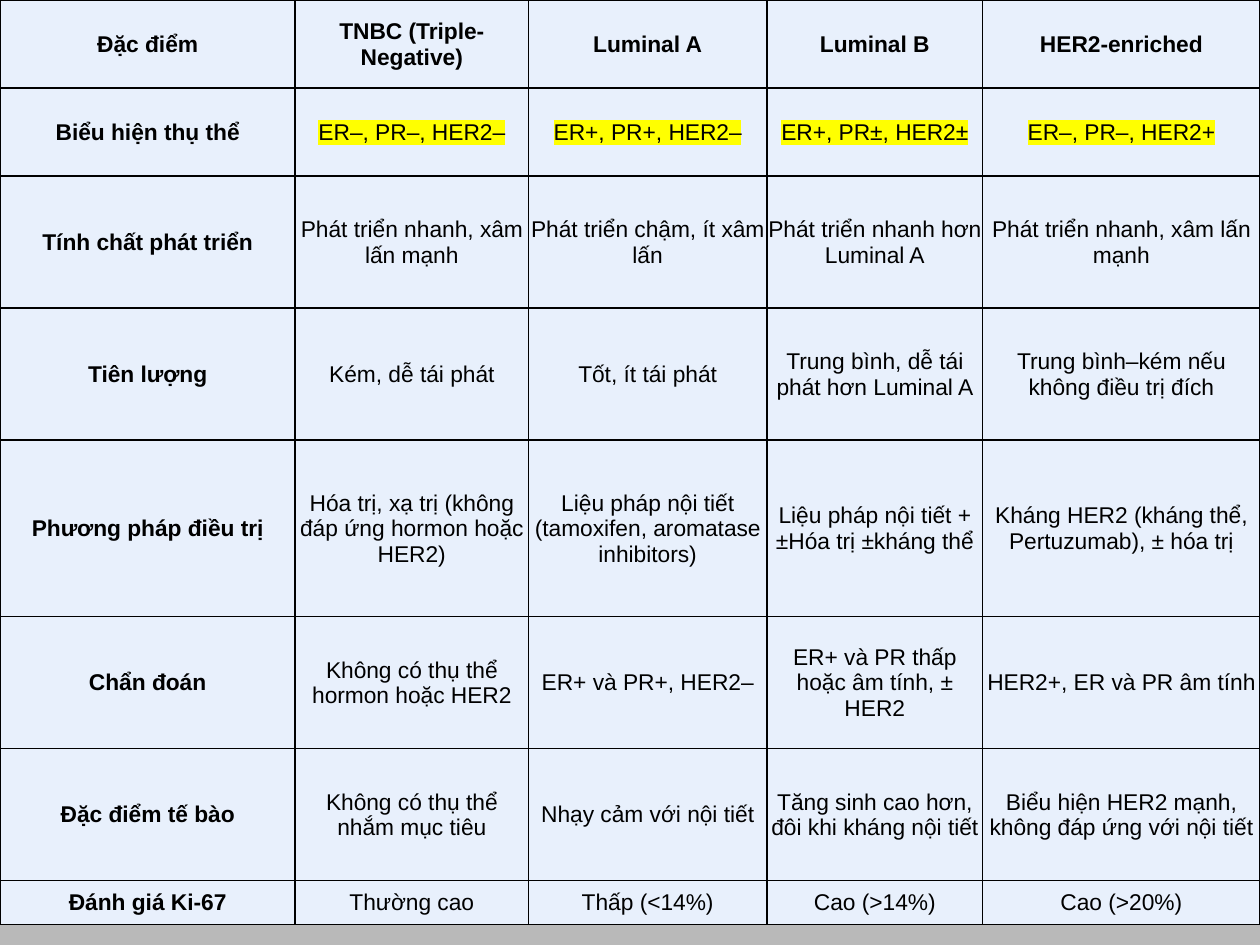
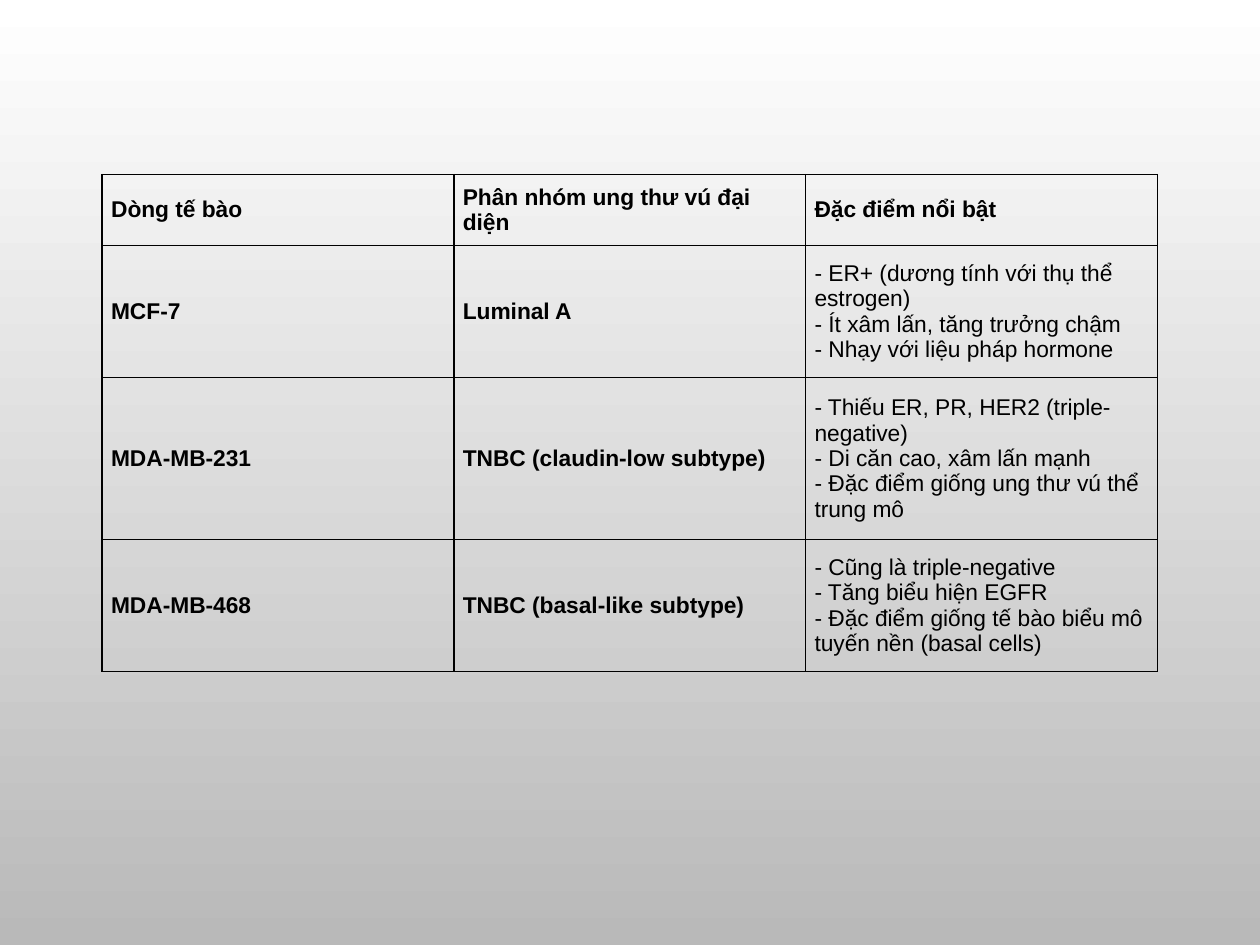
import pptx
import pptx.util
import pptx.dml.color
import pptx.enum.text
import pptx.oxml
import pptx.oxml.ns
import lxml.etree

Cm, Pt = pptx.util.Cm, pptx.util.Pt
RGB = pptx.dml.color.RGBColor.from_string
ALIGN = pptx.enum.text.PP_ALIGN
HEX = {"ink": "000000", "cell": "E8F0FC", "mark": "FFFF00",
       "top": "FFFFFF", "base": "B9B9B9"}


def draw_edge(cell):
    """Give a cell thin lines on all four sides."""
    props = cell._tc.get_or_add_tcPr()
    for i, side in enumerate(("lnL", "lnR", "lnT", "lnB")):
        line = pptx.oxml.parse_xml(
            f'<a:{side} {pptx.oxml.ns.nsdecls("a")} w="12700">'
            f'<a:solidFill><a:srgbClr val="{HEX["ink"]}"/></a:solidFill></a:{side}>')
        props.insert(i, line)


def make_grid(slide, rows, left, top, wide, high, inset, fill, align, bolds, marks=()):
    """Add a table; bolds is the count of leading bold columns, marks the lit rows."""
    grid = slide.shapes.add_table(len(rows), len(wide), left, top,
                                  sum(wide), sum(high)).table
    for col, width in zip(grid.columns, wide):
        col.width = width
    for row, height in zip(grid.rows, high):
        row.height = height
    for r, texts in enumerate(rows):
        for c, text in enumerate(texts):
            cell = grid.cell(r, c)
            cell.margin_left, cell.margin_top, cell.margin_right, cell.margin_bottom = inset
            cell.vertical_anchor = pptx.enum.text.MSO_ANCHOR.MIDDLE
            if fill:
                cell.fill.solid()
                cell.fill.fore_color.rgb = RGB(fill)
            else:
                cell.fill.background()
            draw_edge(cell)
            para = cell.text_frame.paragraphs[0]
            para.alignment = align
            for i, part in enumerate(text.split("\n")):
                if i:
                    para.add_line_break()
                run = para.add_run()
                run.text = part
                font = run.font
                font.name, font.size = "Arial", Pt(13)
                font.bold = r == 0 or c < bolds
                font.color.rgb = RGB(HEX["ink"])
                if r in marks and c >= bolds:
                    light = pptx.oxml.parse_xml(
                        f'<a:highlight {pptx.oxml.ns.nsdecls("a")}>'
                        f'<a:srgbClr val="{HEX["mark"]}"/></a:highlight>')
                    run._r.rPr.find(pptx.oxml.ns.qn("a:solidFill")).addnext(light)


deck = pptx.Presentation()
deck.slide_width, deck.slide_height = Cm(25.4), Cm(19.05)
blank = deck.slide_layouts[6]

# Shared background, white at the top to grey at the base
back = deck.slide_master.background.fill
back.gradient()
back.gradient_angle = 270
for stop, key in zip(back.gradient_stops, ("top", "base")):
    stop.color.rgb = RGB(HEX[key])

# Slide 1: tumour subtypes
types = [
    ("Đặc điểm", "TNBC (Triple-Negative)", "Luminal A", "Luminal B", "HER2-enriched"),
    ("Biểu hiện thụ thể", "ER–, PR–, HER2–", "ER+, PR+, HER2–",
     "ER+, PR±, HER2±", "ER–, PR–, HER2+"),
    ("Tính chất phát triển", "Phát triển nhanh, xâm lấn mạnh",
     "Phát triển chậm, ít xâm lấn", "Phát triển nhanh hơn Luminal A",
     "Phát triển nhanh, xâm lấn mạnh"),
    ("Tiên lượng", "Kém, dễ tái phát", "Tốt, ít tái phát",
     "Trung bình, dễ tái phát hơn Luminal A",
     "Trung bình–kém nếu không điều trị đích"),
    ("Phương pháp điều trị", "Hóa trị, xạ trị (không đáp ứng hormon hoặc HER2)",
     "Liệu pháp nội tiết (tamoxifen, aromatase inhibitors)",
     "Liệu pháp nội tiết + ±Hóa trị ±kháng thể",
     "Kháng HER2 (kháng thể, Pertuzumab), ± hóa trị"),
    ("Chẩn đoán", "Không có thụ thể hormon hoặc HER2", "ER+ và PR+, HER2–",
     "ER+ và PR thấp hoặc âm tính, ± HER2", "HER2+, ER và PR âm tính"),
    ("Đặc điểm tế bào", "Không có thụ thể nhắm mục tiêu", "Nhạy cảm với nội tiết",
     "Tăng sinh cao hơn, đôi khi kháng nội tiết",
     "Biểu hiện HER2 mạnh, không đáp ứng với nội tiết"),
    ("Đánh giá Ki-67", "Thường cao", "Thấp (<14%)", "Cao (>14%)", "Cao (>20%)"),
]
unit = Cm(18.64) // 21
make_grid(deck.slides.add_slide(blank), types, 0, 0,
          wide=[Cm(w) for w in (5.95, 4.7, 4.81, 4.35, 5.59)],
          high=[unit * n for n in (2, 2, 3, 3, 4, 3, 3, 1)],
          inset=(Cm(0.02), Cm(0.02), Cm(0.02), 0),
          fill=HEX["cell"], align=ALIGN.CENTER, bolds=1, marks=(1,))

# Slide 2: cell lines
lines = [
    ("Dòng tế bào", "Phân nhóm ung thư vú đại diện", "Đặc điểm nổi bật"),
    ("MCF-7", "Luminal A",
     "- ER+ (dương tính với thụ thể estrogen)\n"
     "- Ít xâm lấn, tăng trưởng chậm\n"
     "- Nhạy với liệu pháp hormone"),
    ("MDA-MB-231", "TNBC (claudin-low subtype)",
     "- Thiếu ER, PR, HER2 (triple-negative)\n"
     "- Di căn cao, xâm lấn mạnh\n"
     "- Đặc điểm giống ung thư vú thể trung mô"),
    ("MDA-MB-468", "TNBC (basal-like subtype)",
     "- Cũng là triple-negative\n"
     "- Tăng biểu hiện EGFR\n"
     "- Đặc điểm giống tế bào biểu mô tuyến nền (basal cells)"),
]
make_grid(deck.slides.add_slide(blank), lines, Cm(2.06), Cm(3.52),
          wide=[Cm(7.09)] * 3,
          high=[Cm(h) for h in (1.43, 2.66, 3.27, 2.66)],
          inset=(Cm(0.18), Cm(0.09), Cm(0.18), Cm(0.09)),
          fill=None, align=ALIGN.LEFT, bolds=2)

deck.save("out.pptx")
